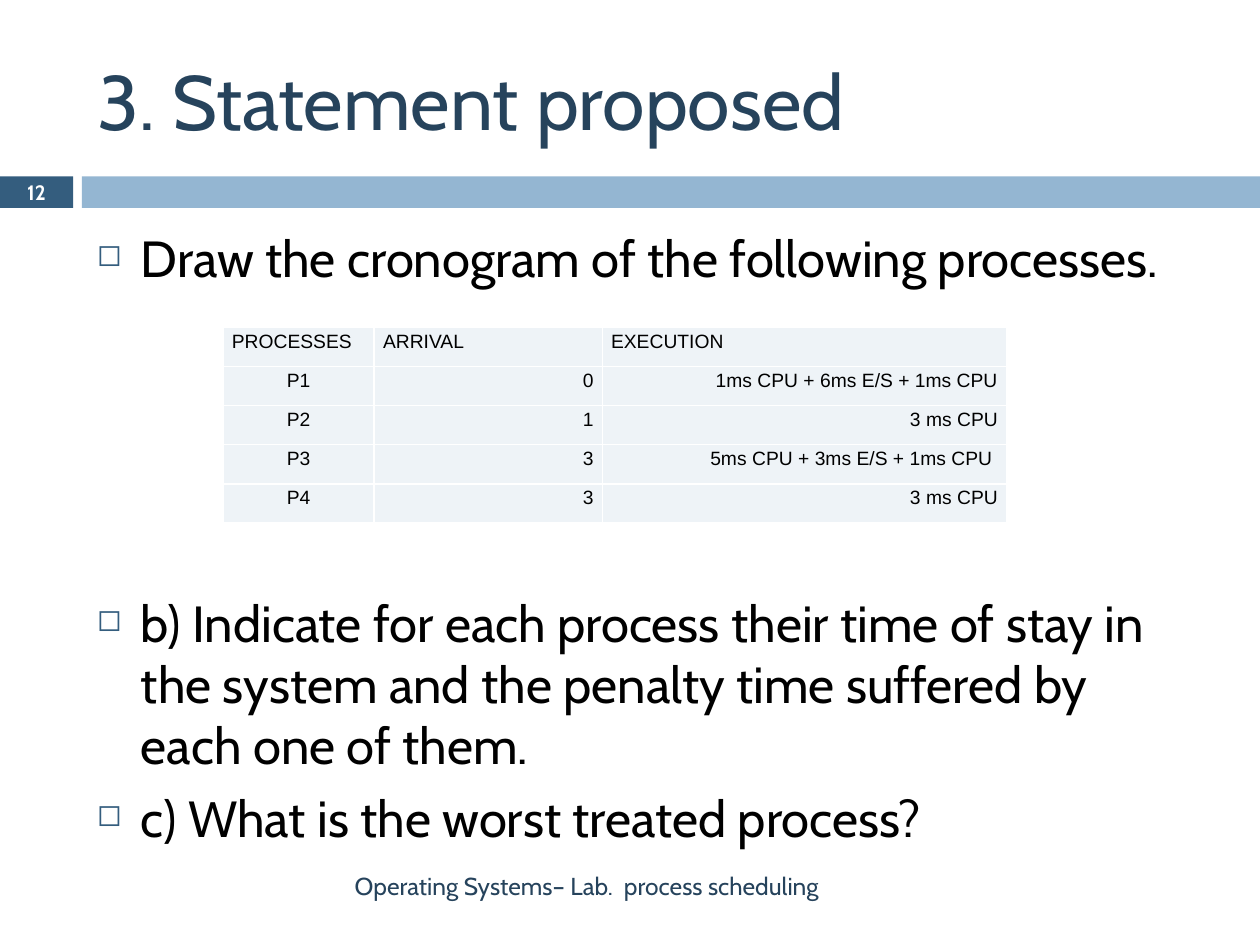
from lxml import etree
from pptx import Presentation
from pptx.dml.color import RGBColor
from pptx.enum import shapes, text
from pptx.oxml import ns
from pptx.util import Inches, Pt

COLORS = {
    "navy": "26435C",
    "accent": "345D7E",
    "band": "94B6D2",
    "cell": "EEF3F7",
    "black": "000000",
    "white": "FFFFFF",
}
ALIGN = text.PP_ALIGN
BODY = [
    ("Draw the cronogram of the following processes.", 7),
    ("b) Indicate for each process their time of stay in the system "
     "and the penalty time suffered by each one of them.", 174),
    ("c) What is the worst treated process?", 7),
]
PROCESSES = [
    ("PROCESSES", "ARRIVAL", "EXECUTION"),
    ("P1", "0", "1ms CPU + 6ms E/S + 1ms CPU"),
    ("P2", "1", "3 ms CPU"),
    ("P3", "3", "5ms CPU + 3ms E/S + 1ms CPU "),
    ("P4", "3", "3 ms CPU"),
]
COLUMN_WIDTHS = (1.2, 1.81, 3.21)
COLUMN_ALIGN = (ALIGN.CENTER, ALIGN.RIGHT, ALIGN.RIGHT)
ROW_HEIGHT = 0.31


def rgb(name):
    return RGBColor.from_string(COLORS[name])


def write(paragraph, content, size, color="black", font="Cabin", bold=False,
          align=ALIGN.LEFT, before=0, after=0, spacing=1.0):
    paragraph.alignment = align
    paragraph.space_before = Pt(before)
    paragraph.space_after = Pt(after)
    paragraph.line_spacing = spacing
    run = paragraph.add_run()
    run.text = content
    run.font.name = font
    run.font.size = Pt(size)
    run.font.bold = bold
    run.font.color.rgb = rgb(color)


def add_bar(slide, left, width, color):
    bar = slide.shapes.add_shape(shapes.MSO_SHAPE.RECTANGLE, Inches(left),
                                 Inches(1.4), Inches(width), Inches(0.25))
    bar.shadow.inherit = False
    bar.fill.solid()
    bar.fill.fore_color.rgb = rgb(color)
    bar.line.fill.background()


def add_text_frame(slide, left, top, width, height,
                   anchor=text.MSO_ANCHOR.MIDDLE):
    box = slide.shapes.add_textbox(Inches(left), Inches(top),
                                   Inches(width), Inches(height))
    frame = box.text_frame
    frame.word_wrap = True
    frame.vertical_anchor = anchor
    return frame


def add_title(slide, content):
    title = slide.shapes.title
    title.left, title.top = Inches(0.67), Inches(0.25)
    title.width, title.height = Inches(8.92), Inches(1.08)
    title.text_frame.vertical_anchor = text.MSO_ANCHOR.MIDDLE
    write(title.text_frame.paragraphs[0], content, 44, color="navy")


def add_bullet(paragraph):
    properties = paragraph._p.get_or_add_pPr()
    properties.set("marL", str(Inches(0.35)))
    properties.set("indent", str(Inches(-0.35)))
    color = etree.SubElement(properties, ns.qn("a:buClr"))
    etree.SubElement(color, ns.qn("a:srgbClr"), val=COLORS["accent"])
    etree.SubElement(properties, ns.qn("a:buSzPct"), val="60000")
    etree.SubElement(properties, ns.qn("a:buChar"), char="\u25fb")


def add_body(slide):
    frame = add_text_frame(slide, 0.67, 1.75, 8.92, 4.92,
                           text.MSO_ANCHOR.TOP)
    for index, (content, before) in enumerate(BODY):
        paragraph = frame.add_paragraph() if index else frame.paragraphs[0]
        write(paragraph, content, 29, before=before)
        add_bullet(paragraph)


def format_cell(cell):
    cell.margin_left = cell.margin_right = Inches(0.07)
    cell.margin_top = cell.margin_bottom = 0
    properties = cell._tc.get_or_add_tcPr()
    for side in ("a:lnL", "a:lnR", "a:lnT", "a:lnB"):
        line = etree.SubElement(properties, ns.qn(side), w=str(Pt(1)))
        fill = etree.SubElement(line, ns.qn("a:solidFill"))
        etree.SubElement(fill, ns.qn("a:srgbClr"), val=COLORS["white"])
    cell.fill.solid()
    cell.fill.fore_color.rgb = rgb("cell")


def add_process_table(slide):
    table = slide.shapes.add_table(
        len(PROCESSES), len(COLUMN_WIDTHS), Inches(1.77), Inches(2.6),
        Inches(sum(COLUMN_WIDTHS)), Inches(ROW_HEIGHT * len(PROCESSES))).table
    table.first_row = table.horz_banding = False
    for column, width in zip(table.columns, COLUMN_WIDTHS):
        column.width = Inches(width)
    for row_index, values in enumerate(PROCESSES):
        table.rows[row_index].height = Inches(ROW_HEIGHT)
        for column_index, value in enumerate(values):
            cell = table.cell(row_index, column_index)
            format_cell(cell)
            align = COLUMN_ALIGN[column_index] if row_index else ALIGN.JUSTIFY
            write(cell.text_frame.paragraphs[0], value, 11, font="Arial",
                  align=align, before=12, after=10, spacing=1.15)


def main():
    presentation = Presentation()
    presentation.slide_width = Inches(10)
    presentation.slide_height = Inches(7.5)
    slide = presentation.slides.add_slide(presentation.slide_layouts[5])
    add_bar(slide, 0, 0.58, "accent")
    add_bar(slide, 0.65, 9.35, "band")
    add_title(slide, "3. Statement proposed")
    add_body(slide)
    footer = add_text_frame(slide, 0.67, 6.83, 5.93, 0.4)
    write(footer.paragraphs[0], "Operating Systems\u2013 Lab.  process scheduling",
          14, color="navy", align=ALIGN.RIGHT)
    number = add_text_frame(slide, 0, 1.39, 0.58, 0.27)
    write(number.paragraphs[0], "12", 11.9, color="white", bold=True,
          align=ALIGN.CENTER)
    add_process_table(slide)
    presentation.save("out.pptx")


main()
